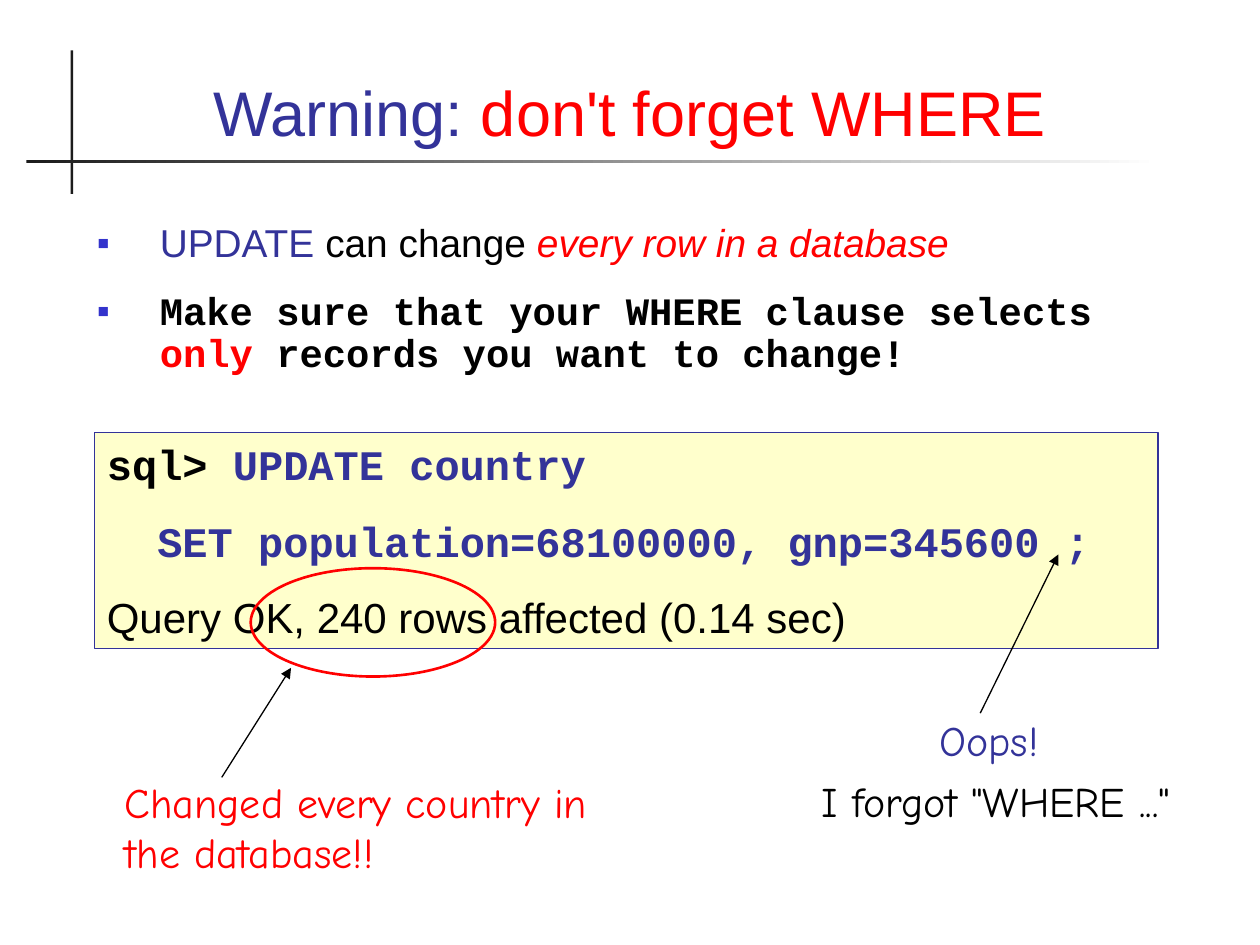
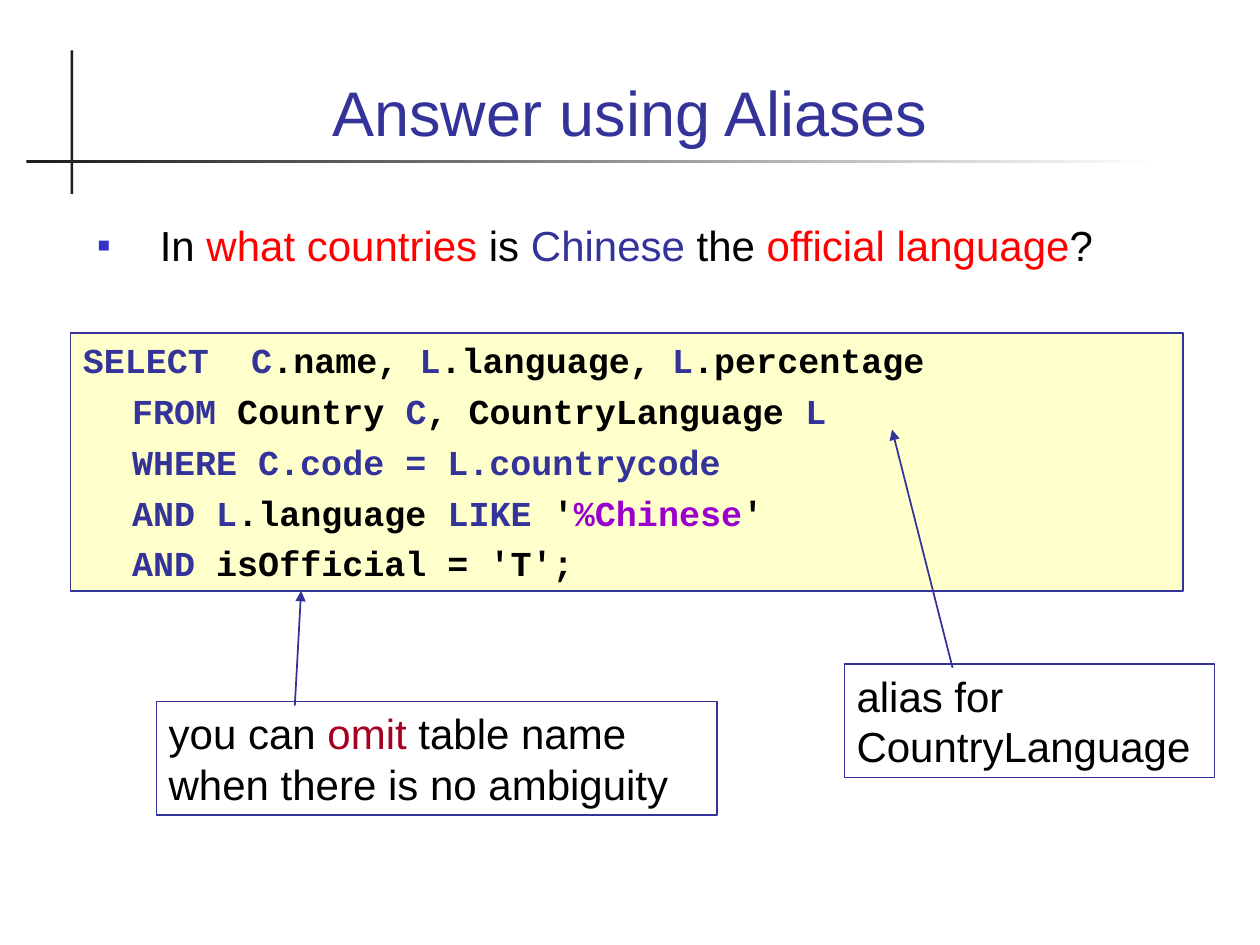
import pptx
import pptx.util
import pptx.dml.color
import pptx.enum.shapes
import pptx.enum.text
import pptx.oxml
import pptx.oxml.ns

Inches, Pt = pptx.util.Inches, pptx.util.Pt
RGBColor = pptx.dml.color.RGBColor
SHAPE = pptx.enum.shapes.MSO_SHAPE
ALIGN = pptx.enum.text.PP_ALIGN
ANCHOR = pptx.enum.text.MSO_ANCHOR

# Colours
NAVY = RGBColor(0x33, 0x33, 0x99)
BULLET = RGBColor(0x33, 0x33, 0xCC)
RED = RGBColor(0xFF, 0x00, 0x00)
DARK_RED = RGBColor(0xA5, 0x00, 0x21)
PURPLE = RGBColor(0x99, 0x00, 0xCC)
BLACK = RGBColor(0x00, 0x00, 0x00)
INK = RGBColor(0x1C, 0x1C, 0x1C)
WHITE = RGBColor(0xFF, 0xFF, 0xFF)
CREAM = RGBColor(0xFF, 0xFF, 0xCC)

# Text styles
TITLE = {"name": "Arial", "size": Pt(36)}
BODY = {"name": "Arial", "size": Pt(24), "bold": False}
SMALL_BODY = {"name": "Arial", "size": Pt(22.2)}
MONO_BODY = {"name": "Courier New", "size": Pt(22.2), "bold": True}
CODE = {"name": "Courier New", "size": Pt(24), "bold": True}
SMALL_CODE = {"name": "Courier New", "size": Pt(20), "bold": True}
NOTE = {"name": "Comic Neue", "size": Pt(24)}


def inches(box):
    return [Inches(v) for v in box]


def add_xml(parent, tag, children="", **attrs):
    """Append one DrawingML element."""
    attr_text = " ".join(f'{k}="{v}"' for k, v in attrs.items())
    ns = pptx.oxml.ns.nsdecls("a")
    parent.append(pptx.oxml.parse_xml(f"<a:{tag} {ns} {attr_text}>{children}</a:{tag}>"))


def add_runs(p, runs, style):
    """Each run is (text, colour) or (text, colour, extra format)."""
    for text, color, *extra in runs:
        r = p.add_run()
        r.text = text
        for key, value in {**style, **(extra[0] if extra else {})}.items():
            setattr(r.font, key, value)
        r.font.color.rgb = color


def write(tf, paragraphs, gap=0, align=ALIGN.LEFT, anchor=ANCHOR.TOP):
    """Fill a text frame; each paragraph is (style, runs)."""
    tf.word_wrap = True
    tf.auto_size = pptx.enum.text.MSO_AUTO_SIZE.NONE
    tf.vertical_anchor = anchor
    for i, (style, runs) in enumerate(paragraphs):
        p = tf.paragraphs[0] if i == 0 else tf.add_paragraph()
        p.alignment, p.line_spacing = align, 1.0
        p.space_before = Pt(gap if i else 0)
        if runs[0][0].startswith("\t"):
            add_xml(p._p.get_or_add_pPr(), "tabLst",
                    f'<a:tab pos="{Inches(0.39)}" algn="l"/>')
        add_runs(p, runs, style)


def add_box(s, kind, box, line, width, fill=None):
    sp = s.shapes.add_shape(kind, *inches(box))
    sp.shadow.inherit = False
    if fill is None:
        sp.fill.background()
    else:
        sp.fill.solid()
        sp.fill.fore_color.rgb = fill
    sp.line.color.rgb, sp.line.width = line, Pt(width)
    return sp


def add_panel(s, box, paragraphs, width=0.75, fill=None, gap=0):
    """Framed text."""
    sp = add_box(s, SHAPE.RECTANGLE, box, NAVY, width, fill)
    write(sp.text_frame, paragraphs, gap)


def add_note(s, box, paragraphs, **layout):
    write(s.shapes.add_textbox(*inches(box)).text_frame, paragraphs, **layout)


def add_bullets(s, box, paragraphs):
    tf = s.shapes.add_textbox(*inches(box)).text_frame
    write(tf, paragraphs, gap=15)
    for p in tf.paragraphs:
        pPr = p._p.get_or_add_pPr()
        pPr.set("marL", str(Inches(0.5)))
        pPr.set("indent", str(-Inches(0.5)))
        add_xml(pPr, "buClr", f'<a:srgbClr val="{BULLET}"/>')
        add_xml(pPr, "buSzPct", val=95000)
        add_xml(pPr, "buFont", typeface="Arial")
        add_xml(pPr, "buChar", char="▪")
    return tf


def add_arrow(s, start, end, color, width):
    cx = s.shapes.add_connector(pptx.enum.shapes.MSO_CONNECTOR.STRAIGHT,
                                *inches(start + end))
    cx.line.color.rgb, cx.line.width = color, Pt(width)
    add_xml(cx.line._get_or_add_ln(), "tailEnd", type="triangle")
    add_xml(cx._element.spPr, "effectLst")


def add_cross(s, x, y):
    """Crossed rules behind the title; x, y is the top left corner."""
    upright, level = [
        s.shapes.add_shape(SHAPE.RECTANGLE, *inches(box))
        for box in ((x + 0.35, y, 0.02, 1.14), (x, y + 0.87, 8.99, 0.02))]
    for rule in (upright, level):
        rule.shadow.inherit = False
        rule.line.fill.background()
    upright.fill.solid()
    upright.fill.fore_color.rgb = INK
    level.fill.gradient()
    level.fill.gradient_angle = 0
    for stop, color in zip(level.fill.gradient_stops, (INK, WHITE)):
        stop.color.rgb = color


def add_titled_slide(prs, runs):
    s = prs.slides.add_slide(prs.slide_layouts[5])
    add_cross(s, 0.21, 0.4)
    title = s.shapes.title
    title.left, title.top, title.width, title.height = inches((0.67, 0.28, 8.66, 0.95))
    write(title.text_frame, [(TITLE, runs)], align=ALIGN.CENTER, anchor=ANCHOR.BOTTOM)
    return s


def build_where_warning(prs):
    s = add_titled_slide(prs, [("Warning: ", NAVY), ("don't forget WHERE", RED)])
    tf = add_bullets(s, (0.67, 1.69, 8.9, 1.47), [
        (SMALL_BODY, [("UPDATE", NAVY), (" can change ", BLACK),
                      ("every row in a database", RED, {"italic": True})]),
        (MONO_BODY, [("Make sure that your WHERE clause selects ", BLACK),
                     ("only", RED), (" records you want to change!", BLACK)])])
    tf.paragraphs[1].line_spacing = 0.9

    # Statement and its result
    add_panel(s, (0.75, 3.43, 8.44, 1.72), [
        (CODE, [("sql>", BLACK), (" UPDATE country", NAVY)]),
        (CODE, [("  SET population=68100000, gnp=345600 ;", NAVY)]),
        (BODY, [("Query OK, 240 rows affected (0.14 sec)", BLACK)])],
        fill=CREAM, gap=15)
    add_box(s, SHAPE.OVAL, (1.99, 4.51, 1.94, 0.86), RED, 1.5)

    # Remarks
    add_note(s, (0.89, 6.11, 4.1, 0.9),
             [(NOTE, [("Changed every country in the database!!", RED)])])
    add_arrow(s, (1.76, 6.17), (2.31, 5.3), BLACK, 0.75)
    add_note(s, (6.06, 5.62, 3.69, 0.99),
             [(NOTE, [("Oops! ", NAVY)]),
              (NOTE, [('I forgot "WHERE ..."', BLACK)])],
             gap=6, align=ALIGN.CENTER)
    add_arrow(s, (7.78, 5.66), (8.4, 4.4), BLACK, 0.75)


def build_alias_answer(prs):
    s = add_titled_slide(prs, [("Answer using Aliases", NAVY)])
    add_bullets(s, (0.67, 1.69, 8.66, 0.65), [
        (BODY, [("In ", BLACK), ("what countries", RED), (" is ", BLACK),
                ("Chinese", NAVY), (" the ", BLACK),
                ("official language", RED), ("?", BLACK)])])

    # Query
    query = [
        [("SELECT  C", NAVY), (".name, ", BLACK), ("L", NAVY),
         (".language, ", BLACK), ("L", NAVY), (".percentage", BLACK)],
        [("\tFROM", NAVY), (" Country ", BLACK), ("C", NAVY),
         (", CountryLanguage ", BLACK), ("L", NAVY)],
        [("\tWHERE C.code = L.countrycode", NAVY)],
        [("\tAND L", NAVY), (".language ", BLACK), ("LIKE", NAVY),
         (" '", BLACK), ("%Chinese", PURPLE), ("'", BLACK)],
        [("\tAND", NAVY), (" isOfficial = 'T';", BLACK)]]
    add_panel(s, (0.56, 2.64, 8.83, 2.05), [(SMALL_CODE, runs) for runs in query],
              width=1, fill=CREAM, gap=5)

    # Callouts
    add_panel(s, (6.7, 5.27, 2.94, 0.9),
              [(BODY, [("alias for CountryLanguage", BLACK)])])
    add_panel(s, (1.24, 5.57, 4.45, 0.9), [
        (BODY, [("you can ", BLACK), ("omit", DARK_RED),
                (" table name when there is no ambiguity", BLACK)])])
    add_arrow(s, (7.56, 5.3), (7.08, 3.41), NAVY, 1)
    add_arrow(s, (2.34, 5.6), (2.39, 4.69), NAVY, 1)


def main():
    prs = pptx.Presentation()
    prs.slide_width, prs.slide_height = Inches(10), Inches(7.5)
    build_where_warning(prs)
    build_alias_answer(prs)
    prs.save("out.pptx")


if __name__ == "__main__":
    main()
